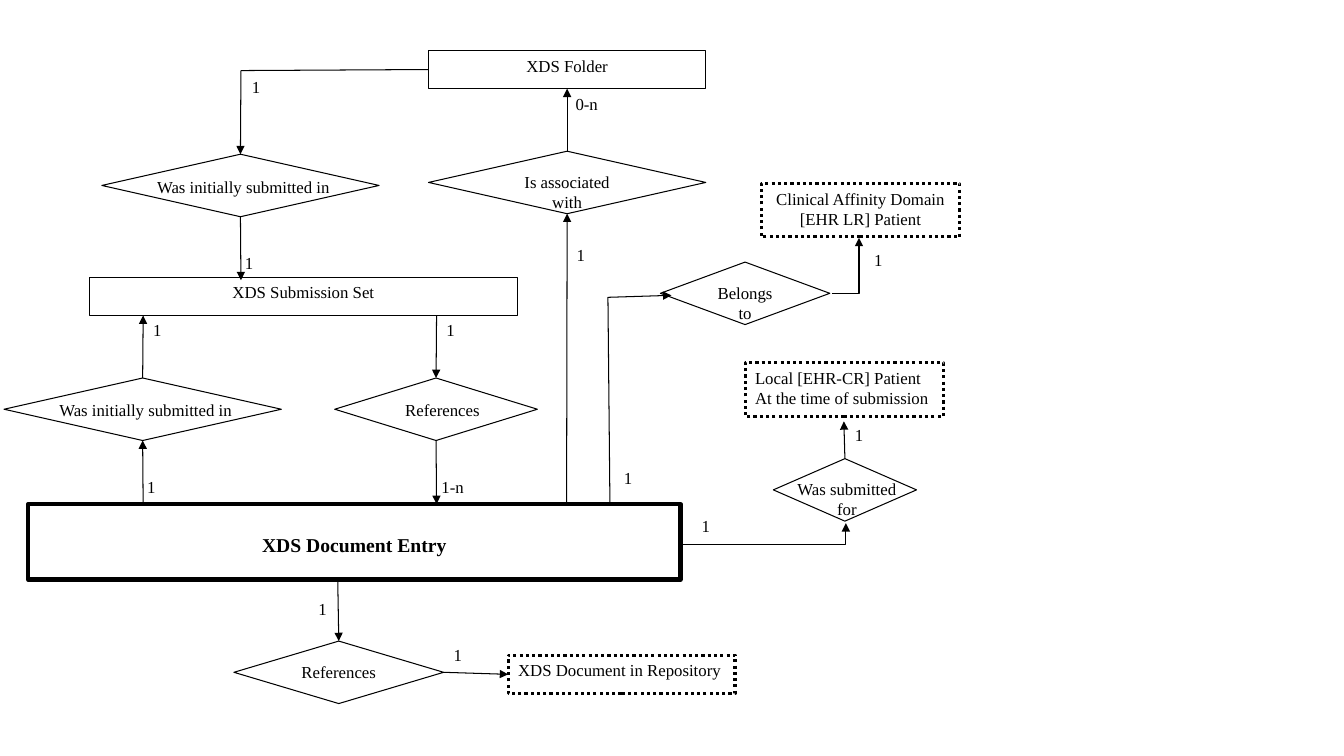
from dataclasses import dataclass
from typing import NamedTuple

from lxml import etree
from pptx import Presentation
from pptx.dml.color import RGBColor
from pptx.enum.dml import MSO_LINE
from pptx.enum.shapes import MSO_CONNECTOR, MSO_SHAPE
from pptx.enum.text import MSO_ANCHOR, PP_ALIGN
from pptx.oxml.ns import qn
from pptx.util import Inches, Pt

BLACK = RGBColor(0x00, 0x00, 0x00)
WHITE = RGBColor(0xFF, 0xFF, 0xFF)
FONT = "Times New Roman"
RECT, DIAMOND = MSO_SHAPE.RECTANGLE, MSO_SHAPE.FLOWCHART_DECISION
STRAIGHT = MSO_CONNECTOR.STRAIGHT
DOTTED = MSO_LINE.ROUND_DOT
LEFT, CENTER = PP_ALIGN.LEFT, PP_ALIGN.CENTER
TOP_ANCHOR = MSO_ANCHOR.TOP
TOP_SIDE, LEFT_SIDE, BOTTOM_SIDE, RIGHT_SIDE = range(4)
THIN = 0.75


class Point(NamedTuple):
    x: float
    y: float


class Site(NamedTuple):
    node: str
    side: int


@dataclass
class Node:
    """An entity (rectangle) or relation (diamond)."""
    key: str
    box: tuple[float, float, float, float]
    text: str = ""
    kind: MSO_SHAPE = RECT
    weight: float = THIN
    dotted: bool = False
    align: PP_ALIGN = CENTER
    size: int = 12
    bold: bool = False
    top_inset: float = 0.05


@dataclass
class Link:
    start: Point | Site
    end: Point | Site
    arrow: bool = True


@dataclass
class Label:
    """Text beside a line or over a diamond; \\v breaks a line."""
    text: str
    left: float
    top: float
    width: float = 0.38
    height: float = 0.38
    align: PP_ALIGN = LEFT


NODES = [
    # Entities
    Node("entry", (0.28, 5, 6.47, 0.75), "XDS Document Entry", weight=3,
         size=14, bold=True, top_inset=0.29),
    Node("submission set", (0.89, 2.75, 4.24, 0.38), "XDS Submission Set"),
    Node("folder", (4.25, 0.5, 2.75, 0.38), "XDS Folder"),
    Node("repository", (5.04, 6.5, 2.25, 0.38), "XDS Document in Repository",
         weight=2.25, dotted=True, align=LEFT),
    Node("local patient", (7.39, 3.6, 1.97, 0.53),
         "Local [EHR-CR] Patient\nAt the time of submission",
         weight=2.25, dotted=True, align=LEFT),
    Node("domain patient", (7.55, 1.82, 1.97, 0.53),
         "Clinical Affinity Domain [EHR LR] Patient", weight=2.25, dotted=True),
    # Relations
    Node("associated", (4.25, 1.5, 2.75, 0.62), "Is associated with", DIAMOND),
    Node("set references", (3.32, 3.75, 2.01, 0.62), kind=DIAMOND),
    Node("entry references", (2.32, 6.36, 2.08, 0.62), "References", DIAMOND),
    Node("belongs", (6.55, 2.6, 1.68, 0.62), "Belongs to", DIAMOND),
    Node("entry submitted", (0.04, 3.75, 2.75, 0.62), kind=DIAMOND),
    Node("submitted for", (7.67, 4.55, 1.42, 0.62), kind=DIAMOND),
    Node("folder submitted", (1.01, 1.53, 2.75, 0.62), kind=DIAMOND),
]

FOLDER_CORNER = Point(2.39, 0.7)
LINKS = [
    Link(Site("folder", LEFT_SIDE), FOLDER_CORNER, arrow=False),
    Link(FOLDER_CORNER, Site("folder submitted", TOP_SIDE)),
    Link(Site("folder submitted", BOTTOM_SIDE), Point(2.39, 2.78)),
    Link(Site("associated", TOP_SIDE), Site("folder", BOTTOM_SIDE)),
    Link(Point(5.62, 5), Site("associated", BOTTOM_SIDE)),
    Link(Point(4.33, 3.13), Site("set references", TOP_SIDE)),
    Link(Site("set references", BOTTOM_SIDE), Point(4.33, 5)),
    Link(Site("entry submitted", TOP_SIDE), Point(1.42, 3.13)),
    Link(Point(1.42, 5), Site("entry submitted", BOTTOM_SIDE)),
    Link(Point(3.35, 5.77), Site("entry references", TOP_SIDE)),
    Link(Site("entry references", RIGHT_SIDE), Site("repository", LEFT_SIDE)),
    Link(Site("submitted for", TOP_SIDE), Point(8.37, 4.18)),
]

BENT_ARROWS = [
    [Point(6.76, 5.4), Point(8.39, 5.4), Point(8.39, 5.19)],
    [Point(8.25, 2.91), Point(8.52, 2.91), Point(8.52, 2.36)],
    [Point(6.05, 4.98), Point(6.03, 2.95), Point(6.66, 2.93)],
]

LABELS = [
    # Relation names wider than their diamonds
    Label("References", 3.92, 3.92, 1.34, 0.36),
    Label("Was initially submitted in", 0.49, 3.92, 2.1, 0.36),
    Label("Was initially submitted in", 1.46, 1.7, 2.1, 0.36),
    Label("Was submitted\vfor", 7.61, 4.7, 1.58, 0.59, CENTER),
    # Cardinalities
    Label("1-n", 4.28, 4.68, 0.55),
    Label("0-n", 5.61, 0.88, 0.64),
] + [Label("1", x, y) for x, y in [
    (4.33, 3.12), (5.62, 2.38), (4.4, 6.35), (8.38, 4.16), (6.86, 5.07),
    (3.06, 5.89), (1.36, 4.68), (1.42, 3.12), (6.09, 4.59), (8.57, 2.43),
    (2.33, 2.46), (2.4, 0.71)]]


def write(frame, text: str, align: PP_ALIGN, size: int = 12, bold: bool = False) -> None:
    frame.word_wrap = True
    frame.vertical_anchor = TOP_ANCHOR
    for index, line in enumerate(text.split("\n")):
        paragraph = frame.add_paragraph() if index else frame.paragraphs[0]
        paragraph.alignment = align
        for part_index, part in enumerate(line.split("\v")):
            if part_index:
                paragraph.add_line_break()
            run = paragraph.add_run()
            run.text = part
            run.font.name, run.font.size, run.font.bold = FONT, Pt(size), bold
            run.font.color.rgb = BLACK


def style_line(shape, weight: float = THIN, arrow: bool = False) -> None:
    shape.line.color.rgb = BLACK
    shape.line.width = Pt(weight)
    if arrow:
        outline = shape._element.spPr.find(qn("a:ln"))
        etree.SubElement(outline, qn("a:tailEnd"), type="triangle")


def draw_node(shapes, node: Node):
    shape = shapes.add_shape(node.kind, *map(Inches, node.box))
    shape.shadow.inherit = False
    shape.fill.solid()
    shape.fill.fore_color.rgb = WHITE
    style_line(shape, node.weight)
    if node.dotted:
        shape.line.dash_style = DOTTED
    if node.text:
        shape.text_frame.margin_top = Inches(node.top_inset)
        write(shape.text_frame, node.text, node.align, node.size, node.bold)
    return shape


def draw_link(shapes, link: Link, drawn: dict) -> None:
    ends = [end if isinstance(end, Point) else Point(0, 0) for end in (link.start, link.end)]
    connector = shapes.add_connector(STRAIGHT, *(Inches(v) for end in ends for v in end))
    if isinstance(link.start, Site):
        connector.begin_connect(drawn[link.start.node], link.start.side)
    if isinstance(link.end, Site):
        connector.end_connect(drawn[link.end.node], link.end.side)
    style_line(connector, arrow=link.arrow)
    etree.SubElement(connector._element.spPr, qn("a:effectLst"))


def draw_bent_arrow(shapes, points: list[Point]) -> None:
    start, *rest = [(Inches(p.x), Inches(p.y)) for p in points]
    builder = shapes.build_freeform(*start)
    builder.add_line_segments(rest, close=False)
    arrow = builder.convert_to_shape()
    arrow.shadow.inherit = False
    arrow.fill.background()
    style_line(arrow, arrow=True)


def draw_label(shapes, label: Label) -> None:
    box = shapes.add_textbox(*map(Inches, (label.left, label.top, label.width, label.height)))
    write(box.text_frame, label.text, label.align)


def main() -> None:
    deck = Presentation()
    deck.slide_width, deck.slide_height = Inches(13.33), Inches(7.5)
    shapes = deck.slides.add_slide(deck.slide_layouts[6]).shapes
    drawn = {node.key: draw_node(shapes, node) for node in NODES}
    for link in LINKS:
        draw_link(shapes, link, drawn)
    for points in BENT_ARROWS:
        draw_bent_arrow(shapes, points)
    for label in LABELS:
        draw_label(shapes, label)
    deck.save("out.pptx")


if __name__ == "__main__":
    main()
